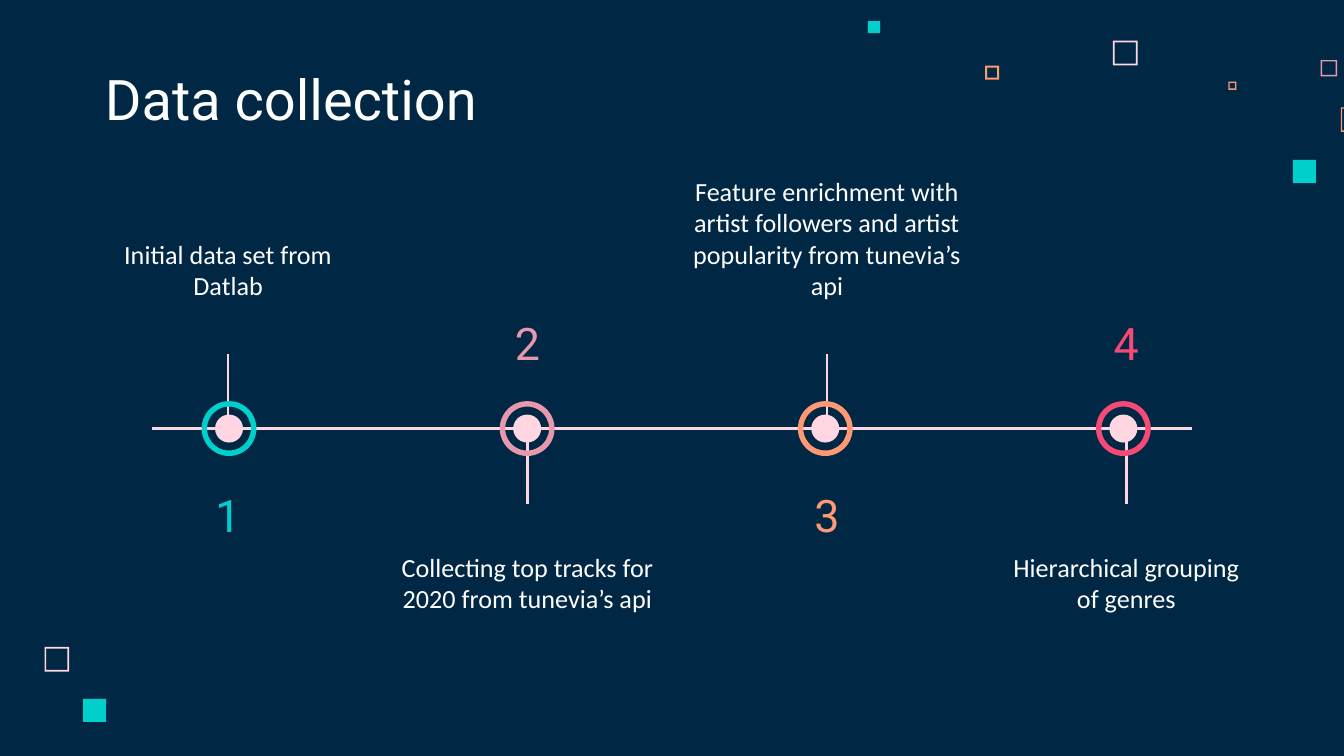
import pptx
import pptx.util
import pptx.dml.color
import pptx.enum.shapes
import pptx.enum.text
from lxml import etree

Pt = pptx.util.Pt
Shape = pptx.enum.shapes.MSO_SHAPE
Anchor = pptx.enum.text.MSO_ANCHOR
Align = pptx.enum.text.PP_ALIGN
COLORS = {"navy": "002845", "white": "FFFFFF", "blush": "FFD6E1", "teal": "00CFCC",
          "rose": "E898AC", "peach": "FF9973", "red": "F64975"}


def rgb(name):
    return pptx.dml.color.RGBColor.from_string(COLORS[name])


def write(box, text, place, size, font, color, anchor, align=Align.CENTER):
    box.left, box.top, box.width, box.height = [Pt(v) for v in place]
    frame = box.text_frame
    frame.word_wrap = True
    frame.auto_size = pptx.enum.text.MSO_AUTO_SIZE.NONE
    frame.vertical_anchor = anchor
    frame.margin_left = frame.margin_right = Pt(7.2)
    frame.margin_top = frame.margin_bottom = Pt(7.2)
    para = frame.paragraphs[0]
    para.alignment = align
    para.line_spacing = 1.0
    para.space_before = para.space_after = Pt(0)
    props = para._p.get_or_add_pPr()
    props.set("marL", "0")
    props.set("indent", "0")
    etree.SubElement(props, pptx.oxml.ns.qn("a:buNone"))
    run = para.add_run()
    run.text = text
    run.font.size = Pt(size)
    run.font.name = font
    run.font.bold = False
    run.font.color.rgb = rgb(color)


deck = pptx.Presentation()
deck.slide_width, deck.slide_height = Pt(720), Pt(405)
slide = deck.slides.add_slide(deck.slide_layouts[4])  # title and four bodies
shapes = slide.shapes
slide.background.fill.solid()
slide.background.fill.fore_color.rgb = rgb("navy")

# Parts as kind, left, top, size, colour, rim share: first the scattered squares
parts = [
    (Shape.FRAME, 596.2, 21.8, 13.2, "blush", 0.07),
    (Shape.FRAME, 707.5, 32.2, 8.8, "rose", 0.09),
    (Shape.FRAME, 658, 43.7, 4.4, "peach", 0.17),
    (Shape.FRAME, 718.3, 57.5, 13.2, "peach", 0.06),
    (Shape.RECTANGLE, 692.6, 85.7, 12.4, "teal", None),
    (Shape.FRAME, 527.8, 35.2, 7.4, "peach", 0.14),
    (Shape.RECTANGLE, 465, 11.3, 6.5, "teal", None),
    (Shape.FRAME, 23.9, 346.6, 13.2, "blush", 0.07),
    (Shape.RECTANGLE, 44.5, 374.4, 12.4, "teal", None),
]

# Title
write(shapes.title, "Data collection", (49, 32.4, 372, 45.4), 30, "Roboto",
      "white", Anchor.BOTTOM, Align.LEFT)

# Steps: text, text width, colour; odd steps have the text above the axis
steps = [
    ("Initial data set from Datlab", 148.3, "teal"),
    ("Collecting top tracks for 2020 from tunevia’s api", 166.3, "rose"),
    ("Feature enrichment with artist followers and artist popularity from tunevia’s api",
     166.3, "peach"),
    ("Hierarchical grouping of genres", 148.3, "red"),
]
axis = 229.6
lines = [(81.4, axis, 638.6, axis)]
for i, (text, width, color) in enumerate(steps):
    mid = 122.2 + 160.4 * i
    above = i % 2 == 0
    write(slide.placeholders[i + 1], text,
          (mid - width / 2, 117.4 if above else 288, width, 51), 14, "Calibri",
          "white", Anchor.BOTTOM if above else Anchor.TOP)
    number = shapes.add_textbox(0, 0, 0, 0)
    write(number, str(i + 1), (mid - 50.8, 258.8 if above else 166.7, 101.6, 34),
          24, "Roboto", color, Anchor.MIDDLE)
    lines.append((mid, 189.4, mid, 225) if above else (mid, 234.4, mid, 270))
    # Dot and ring on the axis
    hub = 122.7 + 159.7 * i
    for kind, size, tint, rim in [(Shape.OVAL, 15, "blush", None),
                                  (Shape.DONUT, 29.4, color, 0.1)]:
        parts.append((kind, hub - size / 2, axis - size / 2, size, tint, rim))

# Axis and stems
for ends in lines:
    line = shapes.add_connector(pptx.enum.shapes.MSO_CONNECTOR.STRAIGHT,
                                *[Pt(v) for v in ends])
    line.line.color.rgb = rgb("blush")
    line.line.width = Pt(1.5)
    etree.SubElement(line._element.spPr, pptx.oxml.ns.qn("a:effectLst"))

# Squares, dots and rings
for kind, left, top, size, color, rim in parts:
    part = shapes.add_shape(kind, Pt(left), Pt(top), Pt(size), Pt(size))
    part.shadow.inherit = False
    part.fill.solid()
    part.fill.fore_color.rgb = rgb(color)
    part.line.fill.background()
    if rim:
        part.adjustments[0] = rim

deck.save("out.pptx")
